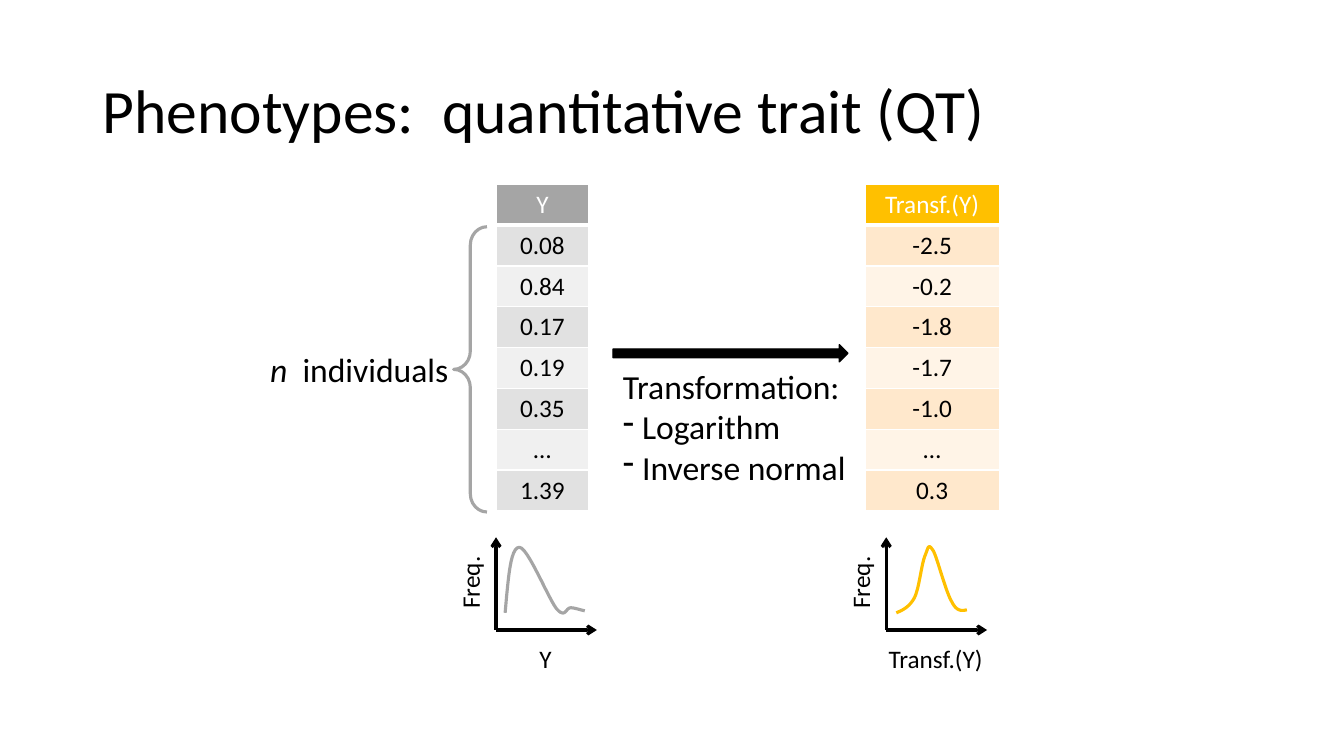
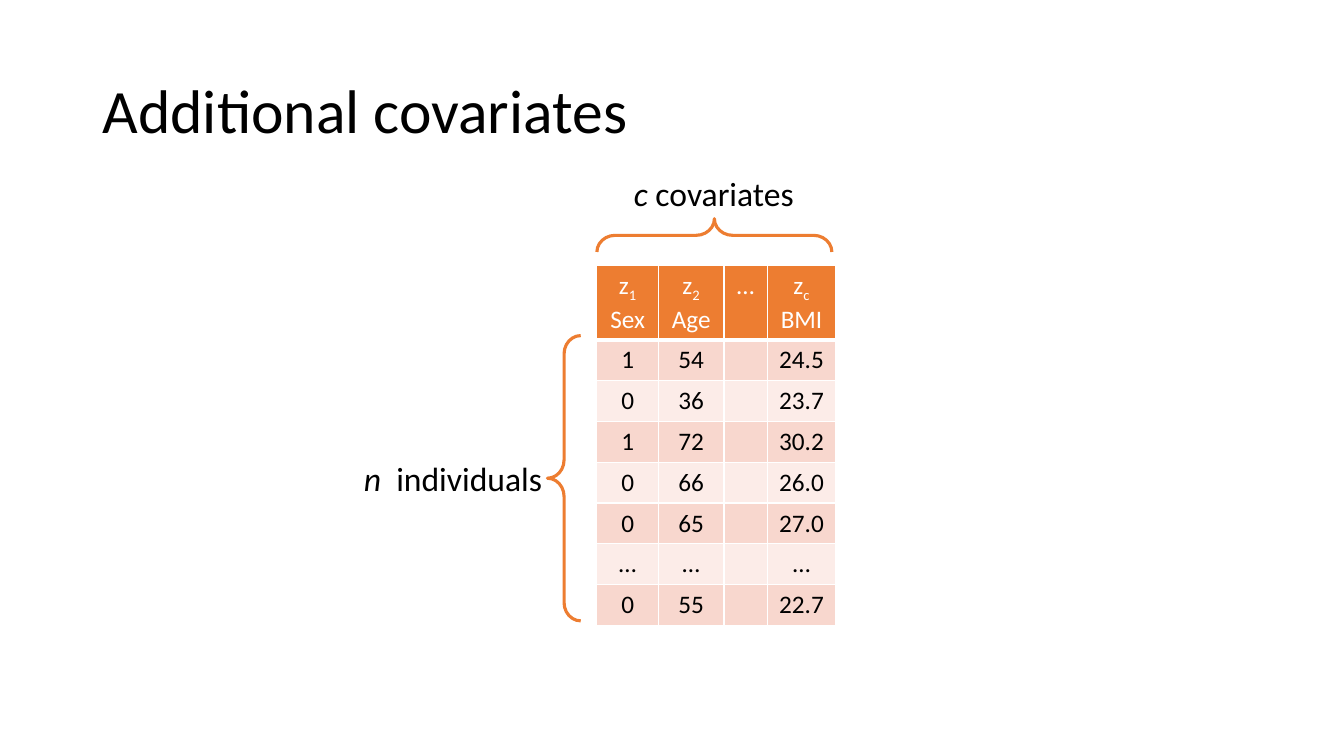
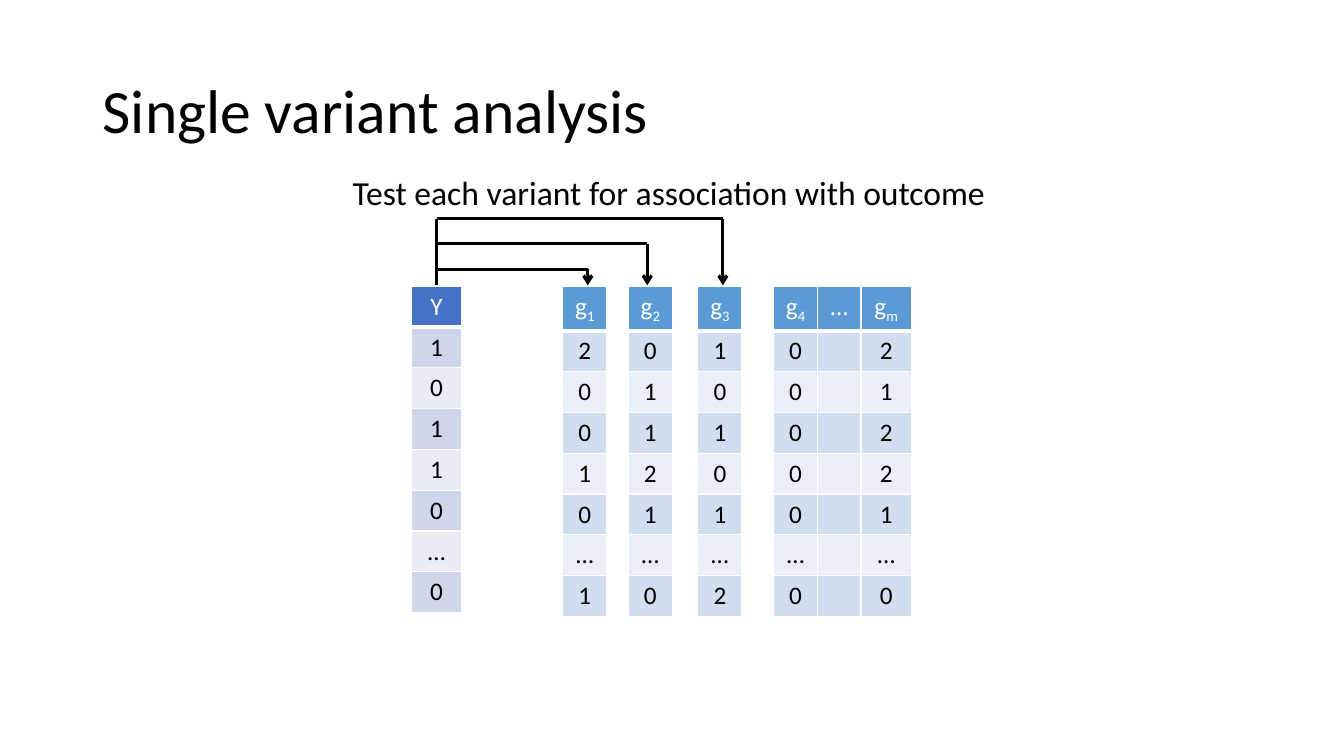
"""Three slides on phenotypes, covariates and single variant analysis."""
from pptx import Presentation
from pptx.dml.color import RGBColor
from pptx.enum.shapes import MSO_CONNECTOR, MSO_SHAPE
from pptx.enum.text import MSO_ANCHOR, PP_ALIGN
from pptx.oxml.ns import qn
from pptx.util import Inches, Pt
from lxml.etree import SubElement

FONT = "Calibri"
COLORS = {
    "black": "000000", "white": "FFFFFF",
    "gray": "A5A5A5", "gold": "FFC000", "orange": "ED7D31",
    "indigo": "4472C4", "blue": "5B9BD5",
}
BANDS = {
    "gray": ("E1E1E1", "F0F0F0"), "gold": ("FFE8CC", "FFF4E7"),
    "orange": ("F8D7CE", "FCECE8"), "indigo": ("CFD5EA", "E9EBF5"),
    "blue": ("D2DEEF", "EAEFF7"),
}
ROW_HEIGHT = 3.24 / 8
LINE_WIDTH = 2.25

TRAITS = [
    {"name": "Y", "color": "gray", "left": 4.92, "width": 0.92, "axis": 4.92,
     "values": ["0.08", "0.84", "0.17", "0.19", "0.35", "…", "1.39"],
     "curve": [(5.01, 6.08),
               (5.04, 5.76), (5.06, 5.43), (5.15, 5.43),
               (5.23, 5.42), (5.44, 5.94), (5.52, 6.04),
               (5.61, 6.14), (5.61, 6.03), (5.66, 6.03),
               (5.7, 6.03), (5.75, 6.05), (5.8, 6.06)]},
    {"name": "Transf.(Y)", "color": "gold", "left": 8.58, "width": 1.33, "axis": 8.79,
     "values": ["-2.5", "-0.2", "-1.8", "-1.7", "-1.0", "…", "0.3"],
     "curve": [(8.89, 6.08),
               (8.96, 6.05), (9.02, 6.02), (9.07, 5.93),
               (9.12, 5.83), (9.14, 5.58), (9.18, 5.5),
               (9.21, 5.42), (9.21, 5.39), (9.26, 5.47),
               (9.3, 5.55), (9.38, 5.87), (9.44, 5.97),
               (9.49, 6.07), (9.54, 6.06), (9.59, 6.05)]},
]
TRANSFORMATIONS = ["Logarithm", "Inverse normal"]


def symbol(letter, index):
    return [letter, (index, "subscript")]


COVARIATES = [
    (0.61, [symbol("z", "1"), "Sex"], ["1", "0", "1", "0", "0", "…", "0"]),
    (0.65, [symbol("z", "2"), "Age"], ["54", "36", "72", "66", "65", "…", "55"]),
    (0.43, ["…"], [""] * 7),
    (0.68, [symbol("z", "c"), "BMI"], ["24.5", "23.7", "30.2", "26.0", "27.0", "…", "22.7"]),
]
OUTCOME = [(0.5, ["Y"], ["1", "0", "1", "1", "0", "…", "0"])]
VARIANTS = [
    (5.58, [(0.44, [symbol("g", "1")], ["2", "0", "0", "1", "0", "…", "1"])]),
    (6.23, [(0.44, [symbol("g", "2")], ["0", "1", "1", "2", "1", "…", "0"])]),
    (6.92, [(0.44, [symbol("g", "3")], ["1", "0", "1", "0", "1", "…", "2"])]),
    (7.67, [(0.44, [symbol("g", "4")], ["0", "0", "0", "0", "0", "…", "0"]),
            (0.43, ["…"], [""] * 7),
            (0.5, [symbol("g", "m")], ["2", "1", "2", "2", "1", "…", "0"])]),
]
TEST_ARROWS = [5.83, 6.42, 7.17]


def rgb(color):
    return RGBColor.from_string(COLORS.get(color, color))


def write_text(frame, paragraphs, size=24, color="black", align=PP_ALIGN.LEFT,
               spacing=None, bullets_from=None):
    """Fill a text frame; a paragraph is a string or a list of runs."""
    for number, content in enumerate(paragraphs):
        paragraph = frame.paragraphs[0] if number == 0 else frame.add_paragraph()
        paragraph.alignment = align
        if spacing:
            paragraph.line_spacing = spacing
        if bullets_from is not None and number >= bullets_from:
            properties = paragraph._p.get_or_add_pPr()
            properties.set("marL", str(Inches(0.19)))
            properties.set("indent", str(-Inches(0.19)))
            SubElement(properties, qn("a:buChar")).set("char", "-")
        for part in [content] if isinstance(content, str) else content:
            text, style = (part, None) if isinstance(part, str) else part
            run = paragraph.add_run()
            run.text = text
            run.font.name, run.font.size = FONT, Pt(size)
            run.font.color.rgb = rgb(color)
            if style == "italic":
                run.font.italic = True
            if style == "subscript":
                run._r.get_or_add_rPr().set("baseline", "-25000")


def add_text(slide, left, top, width, height, paragraphs, wrap=False,
             anchor=MSO_ANCHOR.TOP, rotation=0, **text_format):
    box = slide.shapes.add_textbox(Inches(left), Inches(top), Inches(width), Inches(height))
    box.rotation = rotation
    box.text_frame.word_wrap = wrap
    box.text_frame.vertical_anchor = anchor
    write_text(box.text_frame, paragraphs, **text_format)


def add_titled_slide(presentation, title):
    slide = presentation.slides.add_slide(presentation.slide_layouts[6])
    add_text(slide, 0.92, 0.4, 11.5, 1.45, [title], wrap=True,
             anchor=MSO_ANCHOR.MIDDLE, size=44, spacing=0.9)
    return slide


def style_cell(cell, fill, bottom=1):
    properties = cell._tc.get_or_add_tcPr()
    for side, width in (("L", 1), ("R", 1), ("T", 1), ("B", bottom)):
        border = SubElement(properties, qn(f"a:ln{side}"), w=str(Pt(width)))
        paint = SubElement(border, qn("a:solidFill"))
        SubElement(paint, qn("a:srgbClr"), val=COLORS["white"])
    cell.fill.solid()
    cell.fill.fore_color.rgb = rgb(fill)


def add_data_table(slide, left, top, columns, color):
    """Draw columns given as (width, header paragraphs, values)."""
    row_count = 1 + len(columns[0][2])
    width = sum(column[0] for column in columns)
    frame = slide.shapes.add_table(row_count, len(columns), Inches(left), Inches(top),
                                   Inches(width), Inches(ROW_HEIGHT * row_count))
    table = frame.table
    table.first_row = table.horz_banding = False
    for index, (column_width, header, values) in enumerate(columns):
        table.columns[index].width = Inches(column_width)
        head = table.cell(0, index)
        style_cell(head, color, bottom=3)
        write_text(head.text_frame, header, size=18, color="white", align=PP_ALIGN.CENTER)
        for row, value in enumerate(values, 1):
            cell = table.cell(row, index)
            style_cell(cell, BANDS[color][(row - 1) % 2])
            if value:
                write_text(cell.text_frame, [value], size=18, align=PP_ALIGN.CENTER)


def add_line(slide, start, end, arrow=False):
    line = slide.shapes.add_connector(MSO_CONNECTOR.STRAIGHT, *map(Inches, start + end))
    line.line.color.rgb = rgb("black")
    line.line.width = Pt(LINE_WIDTH)
    if arrow:
        SubElement(line.line._get_or_add_ln(), qn("a:tailEnd"), type="arrow")
    SubElement(line._element.spPr, qn("a:effectLst"))


def outline(shape, color):
    shape.shadow.inherit = False
    shape.fill.background()
    shape.line.color.rgb = rgb(color)
    shape.line.width = Pt(LINE_WIDTH)


def add_brace(slide, left, top, length, color, rotation=0):
    brace = slide.shapes.add_shape(MSO_SHAPE.LEFT_BRACE, Inches(left), Inches(top),
                                   Inches(0.33), Inches(length))
    brace.adjustments[0], brace.adjustments[1] = 0.55, 0.5
    brace.rotation = rotation
    outline(brace, color)


def add_individuals(slide, left, top, color):
    add_brace(slide, left, top, 2.83, color)
    add_text(slide, left - 1.92, top + 1.16, 1.99, 0.5, [[("n", "italic"), "  individuals"]])


def curve_points(knots, steps=12):
    """Sample a chain of cubic curves that share their end points."""
    points = [knots[0]]
    for first in range(0, len(knots) - 1, 3):
        controls = knots[first:first + 4]
        for step in range(1, steps + 1):
            t = step / steps
            weights = ((1 - t) ** 3, 3 * t * (1 - t) ** 2, 3 * t * t * (1 - t), t ** 3)
            points.append(tuple(sum(weight * control[axis]
                                    for weight, control in zip(weights, controls))
                                for axis in (0, 1)))
    return [(Inches(x), Inches(y)) for x, y in points]


def add_distribution(slide, trait):
    left, bottom = trait["axis"], 6.25
    add_line(slide, (left, bottom), (left, bottom - 0.92), arrow=True)
    add_line(slide, (left, bottom), (left + 1, bottom), arrow=True)
    start, *rest = curve_points(trait["curve"])
    builder = slide.shapes.build_freeform(*start)
    builder.add_line_segments(rest, close=False)
    outline(builder.convert_to_shape(), trait["color"])
    label = {"size": 18, "align": PP_ALIGN.CENTER}
    add_text(slide, left - 0.08, 6.33, 1.14, 0.4, [trait["name"]], **label)
    add_text(slide, left - 0.62, 5.58, 0.72, 0.4, ["Freq."], rotation=270, **label)


def build_phenotypes(presentation):
    slide = add_titled_slide(presentation, "Phenotypes:  quantitative trait (QT)")
    for trait in TRAITS:
        column = (trait["width"], [trait["name"]], trait["values"])
        add_data_table(slide, trait["left"], 1.83, [column], trait["color"])
        add_distribution(slide, trait)
    arrow = slide.shapes.add_shape(MSO_SHAPE.RIGHT_ARROW, Inches(6.08), Inches(3.42),
                                   Inches(2.33), Inches(0.17))
    outline(arrow, "black")
    arrow.line.width = Pt(1)
    arrow.fill.solid()
    arrow.fill.fore_color.rgb = rgb("black")
    add_individuals(slide, 4.5, 2.25, "gray")
    add_text(slide, 6.08, 3.58, 2.58, 1.72, ["Transformation:"] + TRANSFORMATIONS,
             wrap=True, bullets_from=1)


def build_covariates(presentation):
    slide = add_titled_slide(presentation, "Additional covariates")
    add_data_table(slide, 5.92, 2.63, COVARIATES, "orange")
    add_individuals(slide, 5.43, 3.33, "orange")
    add_brace(slide, 6.92, 1.17, 2.33, "orange", rotation=90)
    add_text(slide, 6.16, 1.67, 1.84, 0.5, [[("c", "italic"), " covariates"]],
             align=PP_ALIGN.CENTER)


def build_analysis(presentation):
    slide = add_titled_slide(presentation, "Single variant analysis")
    top, outcome_x = 2.84, 4.33
    add_data_table(slide, 4.08, top, OUTCOME, "indigo")
    for left, columns in VARIANTS:
        add_data_table(slide, left, top, columns, "blue")
    for index, variant_x in enumerate(TEST_ARROWS):
        level = 2.67 - 0.25 * index
        add_line(slide, (outcome_x, level), (variant_x, level))
        add_line(slide, (variant_x, level), (variant_x, 2.83), arrow=True)
    add_line(slide, (outcome_x, level), (outcome_x, 2.83))
    add_text(slide, 3.4, 1.66, 6.53, 0.5, ["Test each variant for association with outcome"])


def main():
    presentation = Presentation()
    presentation.slide_width, presentation.slide_height = Inches(13.33), Inches(7.5)
    for build in (build_phenotypes, build_covariates, build_analysis):
        build(presentation)
    presentation.save("out.pptx")


if __name__ == "__main__":
    main()
